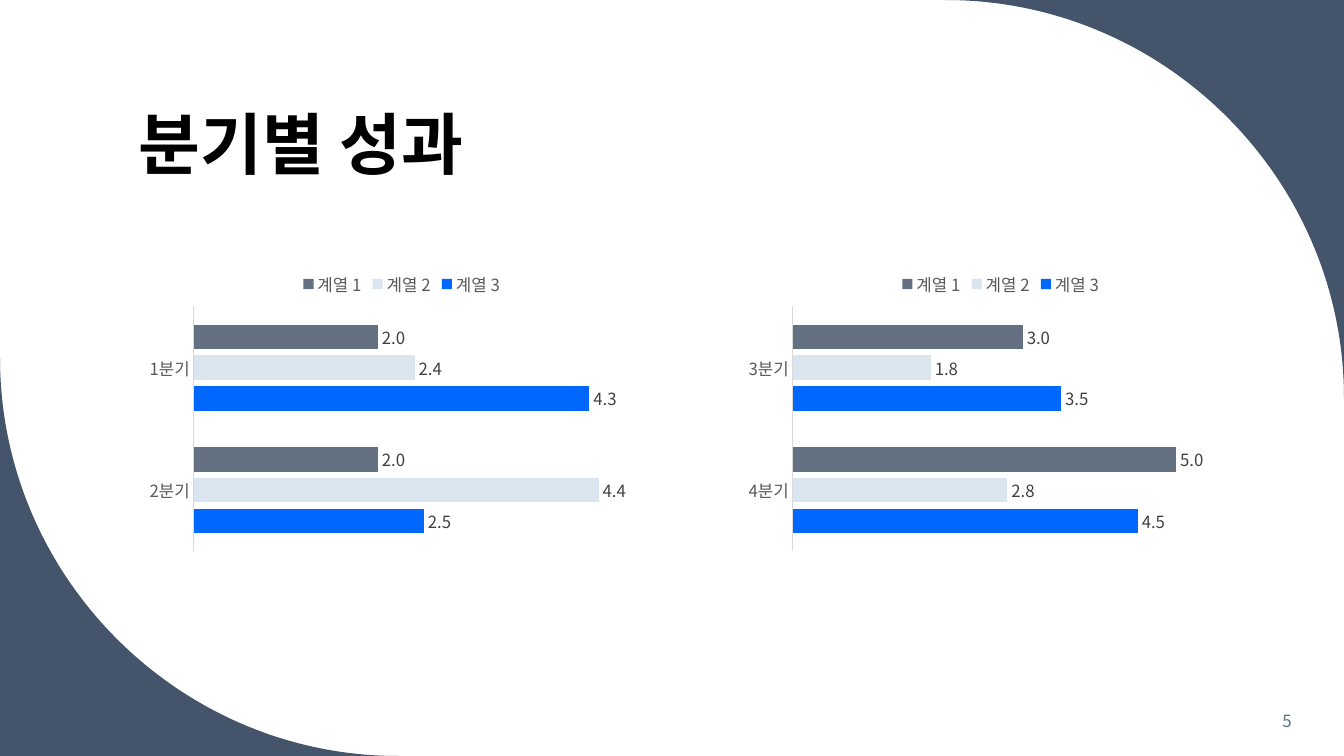
from pptx import Presentation
from pptx.chart.data import CategoryChartData
from pptx.dml.color import RGBColor
from pptx.enum.chart import (XL_CHART_TYPE, XL_LABEL_POSITION,
                             XL_LEGEND_POSITION, XL_TICK_MARK)
from pptx.enum.text import MSO_ANCHOR, PP_ALIGN
from pptx.oxml.ns import qn
from pptx.util import Inches, Pt

WIDTH, HEIGHT = 13.33, 7.5
CORNER_RADIUS = 3.95
CURVE_HANDLE = 0.55
CHART_LEFT, CHART_PITCH, CHART_TOP = 1.38, 5.94, 2.58
CHART_WIDTH, CHART_HEIGHT = 5.21, 2.95
FONT = "Noto Sans CJK KR"

BLACK = RGBColor(0x00, 0x00, 0x00)
NAVY = RGBColor(0x44, 0x54, 0x6A)
SLATE = RGBColor(0x63, 0x71, 0x83)
PALE_BLUE = RGBColor(0xDA, 0xE5, 0xEF)
BRIGHT_BLUE = RGBColor(0x00, 0x68, 0xFF)
AXIS_TEXT = RGBColor(0x59, 0x59, 0x59)
LABEL_TEXT = RGBColor(0x40, 0x40, 0x40)
AXIS_LINE = RGBColor(0xD9, 0xD9, 0xD9)

SERIES_COLORS = {"계열 3": BRIGHT_BLUE, "계열 2": PALE_BLUE, "계열 1": SLATE}
# Per chart: categories, values by series, end of the value axis
CHARTS = [
    (["2분기", "1분기"], [(2.5, 4.3), (4.4, 2.4), (2, 2)], 5),
    (["4분기", "3분기"], [(4.5, 3.5), (2.8, 1.8), (5, 3)], 6),
]


def style_font(font, size, color, bold=False):
    font.name = FONT
    font.size = Pt(size)
    font.color.rgb = color
    font.bold = bold


def use_east_asian_font(element):
    """Give Korean text the same typeface as Latin text."""
    for latin in list(element.iter(qn("a:latin"))):
        latin.addnext(latin.makeelement(qn("a:ea"), {"typeface": FONT}))


def add_corner(slide, center_x, center_y, direction):
    """Fill the space between a quarter circle and the slide corner."""
    reach = direction * CORNER_RADIUS
    # Corner, arc start, two curve handles, arc end
    shares = [(1, 1), (0, 1), (CURVE_HANDLE, 1), (1, CURVE_HANDLE), (1, 0)]
    points = [(Inches(center_x + reach * across), Inches(center_y - reach * up))
              for across, up in shares]
    builder = slide.shapes.build_freeform(*points[0])
    builder.add_line_segments(points[1:], close=True)
    shape = builder.convert_to_shape()

    # Join the last three segments into one curve
    segments = list(shape.element.iter(qn("a:lnTo")))[1:]
    curve = segments[0].makeelement(qn("a:cubicBezTo"), {})
    segments[0].addprevious(curve)
    for segment in segments:
        curve.append(segment[0])
        segment.getparent().remove(segment)

    shape.shadow.inherit = False
    shape.fill.solid()
    shape.fill.fore_color.rgb = NAVY
    shape.line.fill.background()


def add_text(slide, box, text, size, color, anchor, align,
             bold=False, line_spacing=None):
    shape = slide.shapes.add_textbox(*map(Inches, box))
    frame = shape.text_frame
    frame.word_wrap = True
    frame.vertical_anchor = anchor
    paragraph = frame.paragraphs[0]
    paragraph.text = text
    paragraph.alignment = align
    paragraph.line_spacing = line_spacing
    style_font(paragraph.font, size, color, bold)
    # Natural spacing without pair kerning
    for properties in shape.element.iter(qn("a:defRPr")):
        properties.set("kern", "0")
    use_east_asian_font(shape.element)


def add_bar_chart(slide, left, categories, values, maximum):
    data = CategoryChartData()
    data.categories = categories
    for name, numbers in zip(SERIES_COLORS, values):
        data.add_series(name, numbers)
    box = (left, CHART_TOP, CHART_WIDTH, CHART_HEIGHT)
    chart = slide.shapes.add_chart(
        XL_CHART_TYPE.BAR_CLUSTERED, *map(Inches, box), data).chart
    chart.has_title = False
    style_font(chart.font, 10, BLACK)

    # Legend
    chart.has_legend = True
    chart.legend.position = XL_LEGEND_POSITION.TOP
    chart.legend.include_in_layout = False
    style_font(chart.legend.font, 12, AXIS_TEXT)

    # Axes
    category_axis = chart.category_axis
    category_axis.major_tick_mark = XL_TICK_MARK.NONE
    category_axis.format.line.color.rgb = AXIS_LINE
    category_axis.format.line.width = Pt(0.75)
    style_font(category_axis.tick_labels.font, 12, AXIS_TEXT)
    value_axis = chart.value_axis
    value_axis.minimum_scale = 0
    value_axis.maximum_scale = maximum
    value_axis.has_major_gridlines = False
    value_axis.visible = False

    # Bars and value labels
    plot = chart.plots[0]
    plot.gap_width = 150
    plot.overlap = -25
    plot.vary_by_categories = False
    for series in plot.series:
        series.format.fill.solid()
        series.format.fill.fore_color.rgb = SERIES_COLORS[series.name]
        labels = series.data_labels
        labels.show_value = True
        labels.position = XL_LABEL_POSITION.OUTSIDE_END
        labels.number_format = "#,##0.0"
        labels.number_format_is_linked = False
        style_font(labels.font, 12, LABEL_TEXT)
    use_east_asian_font(chart.element)


def main():
    presentation = Presentation()
    presentation.slide_width = Inches(WIDTH)
    presentation.slide_height = Inches(HEIGHT)
    slide = presentation.slides.add_slide(presentation.slide_layouts[6])

    # Opposite corners
    add_corner(slide, WIDTH - CORNER_RADIUS, CORNER_RADIUS, 1)
    add_corner(slide, CORNER_RADIUS, HEIGHT - CORNER_RADIUS, -1)

    # Title
    add_text(slide, (1.28, 0.42, 10.69, 1.45), "분기별 성과", 48, BLACK,
             MSO_ANCHOR.BOTTOM, PP_ALIGN.LEFT, bold=True, line_spacing=0.9)

    # Quarterly charts
    for column, (categories, values, maximum) in enumerate(CHARTS):
        add_bar_chart(slide, CHART_LEFT + column * CHART_PITCH,
                      categories, values, maximum)

    # Page number
    add_text(slide, (11.1, 6.95, 1.81, 0.4), "5", 12, SLATE,
             MSO_ANCHOR.MIDDLE, PP_ALIGN.RIGHT)

    presentation.save("out.pptx")


if __name__ == "__main__":
    main()
